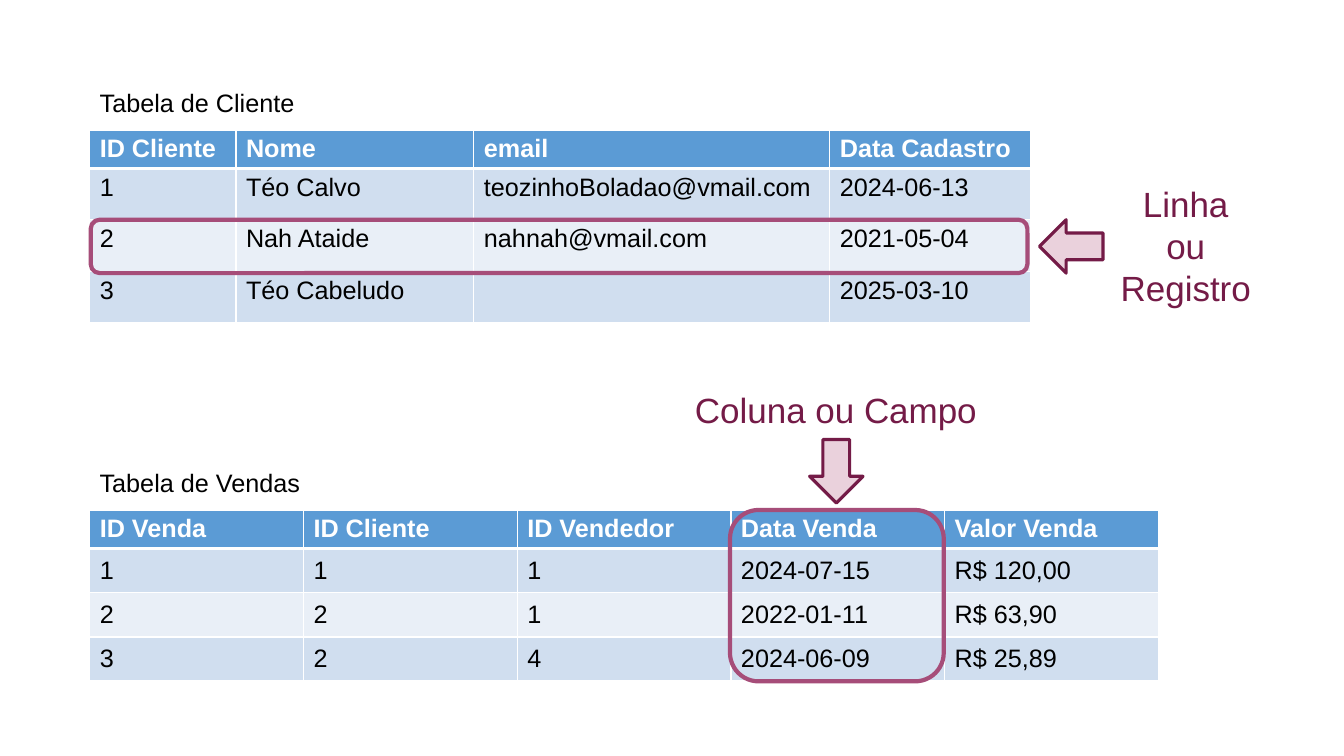
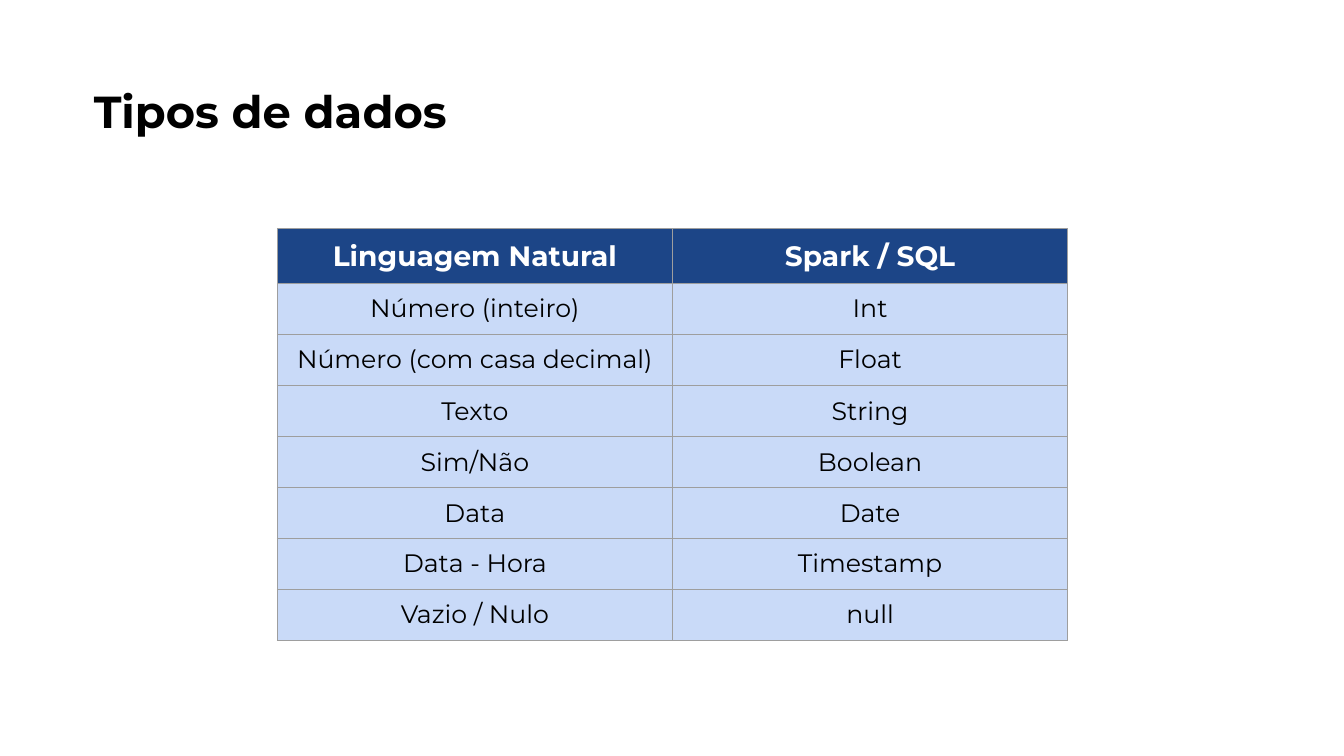
from dataclasses import dataclass

from lxml.etree import SubElement
from pptx import Presentation
from pptx.dml.color import RGBColor as Rgb
from pptx.enum.shapes import MSO_SHAPE as Geo
from pptx.enum.text import MSO_ANCHOR as Anchor, MSO_AUTO_SIZE as Fit, PP_ALIGN as Align
from pptx.oxml.ns import qn
from pptx.util import Inches, Pt

WHITE = Rgb(0xFF, 0xFF, 0xFF)
BLACK = Rgb(0x00, 0x00, 0x00)
BLUE = Rgb(0x5B, 0x9B, 0xD5)
PALE = Rgb(0xD0, 0xDE, 0xEF)
MIST = Rgb(0xE9, 0xEF, 0xF7)
NAVY = Rgb(0x1C, 0x45, 0x87)
SKY = Rgb(0xC9, 0xDA, 0xF8)
GRAY = Rgb(0x9E, 0x9E, 0x9E)
WINE = Rgb(0x74, 0x1B, 0x47)
ROSE = Rgb(0xA6, 0x4D, 0x79)
PINK = Rgb(0xEA, 0xD1, 0xDC)

Box = tuple[float, float, float, float]


@dataclass(frozen=True)
class Style:
    """Look of a table."""
    font: str
    head: Rgb
    bands: tuple[Rgb, ...]
    edge: Rgb
    thin: float
    rule: float  # line under the header
    head_size: int
    pad: float  # top and bottom cell margin
    align: Align


@dataclass(frozen=True)
class Grid:
    """Place and content of a table."""
    left: float
    top: float
    cols: tuple[float, ...]
    rows: tuple[float, ...]
    data: tuple[tuple[str, ...], ...]
    style: Style
    anchor: Anchor = Anchor.TOP


@dataclass(frozen=True)
class Label:
    """Text outside the tables."""
    box: Box
    lines: tuple[str, ...]
    size: int
    color: Rgb
    pad: float = 0.05
    font: str = "Arial"
    bold: bool = False
    align: Align = Align.LEFT
    anchor: Anchor = Anchor.TOP


@dataclass(frozen=True)
class Mark:
    """Outline or arrow that points something out."""
    kind: Geo
    box: Box
    line: Rgb
    width: float
    fill: Rgb | None = None
    turn: int = 0


DATA = Style("Arial", BLUE, (PALE, MIST), WHITE, 1, 3, 18, 0.05, Align.LEFT)
TYPES = Style("Montserrat", NAVY, (SKY,), GRAY, 0.75, 0.75, 20, 0.1, Align.CENTER)

LEFT = 0.89
SALE_TOP = 5.06
SALE_COL = 2.12

GRIDS = (
    Grid(LEFT, 1.29, (1.45, 2.36, 3.53, 1.99), (0.38, 0.51, 0.51, 0.51), (
        ("ID Cliente", "Nome", "email", "Data Cadastro"),
        ("1", "Téo Calvo", "teozinhoBoladao@vmail.com", "2024-06-13"),
        ("2", "Nah Ataide", "nahnah@vmail.com", "2021-05-04"),
        ("3", "Téo Cabeludo", "", "2025-03-10"),
    ), DATA),
    Grid(LEFT, SALE_TOP, (SALE_COL,) * 5, (0.38, 0.44, 0.44, 0.43), (
        ("ID Venda", "ID Cliente", "ID Vendedor", "Data Venda", "Valor Venda"),
        ("1", "1", "1", "2024-07-15", "R$ 120,00"),
        ("2", "2", "1", "2022-01-11", "R$ 63,90"),
        ("3", "2", "4", "2024-06-09", "R$ 25,89"),
    ), DATA, Anchor.MIDDLE),
)

NOTE = dict(size=25, color=WINE, pad=0.1, align=Align.CENTER, anchor=Anchor.MIDDLE)
LABELS = (
    Label((LEFT, 0.82, 2.48, 0.4), ("Tabela de Cliente",), 18, BLACK),
    Label((LEFT, 4.59, 2.57, 0.4), ("Tabela de Vendas",), 18, BLACK),
    Label((10.94, 1.71, 1.64, 1.46), ("Linha", "ou", "Registro"), **NOTE),
    Label((6.75, 3.75, 3.08, 0.63), ("Coluna ou Campo",), **NOTE),
)

MARKS = (
    Mark(Geo.ROUNDED_RECTANGLE, (0.9, 2.18, 9.29, 0.53), ROSE, 3),
    Mark(Geo.ROUNDED_RECTANGLE, (LEFT + 3 * SALE_COL - 0.01, SALE_TOP, SALE_COL, 1.7), ROSE, 3),
    Mark(Geo.LEFT_ARROW, (10.31, 2.18, 0.63, 0.53), WINE, 2.25, PINK),
    Mark(Geo.LEFT_ARROW, (7.98, 4.41, 0.63, 0.53), WINE, 2.25, PINK, 270),
)

TITLE = Label((0.83, 0.78, 6.69, 0.64), ("Tipos de dados",), 32, BLACK,
              font="Montserrat", bold=True)
KINDS = Grid(2.75, 2.27, (3.92,) * 2, (0.54, 0.5, 0.51) + (0.5,) * 5, (
    ("Linguagem Natural", "Spark / SQL"),
    ("Número (inteiro)", "Int"),
    ("Número (com casa decimal)", "Float"),
    ("Texto", "String"),
    ("Sim/Não", "Boolean"),
    ("Data", "Date"),
    ("Data - Hora", "Timestamp"),
    ("Vazio / Nulo", "null"),
), TYPES)


def add_run(para, text: str, font: str, size: int, color: Rgb, bold: bool) -> None:
    run = para.add_run()
    run.text = text
    run.font.name = font
    run.font.size = Pt(size)
    run.font.color.rgb = color
    run.font.bold = bold


def set_edge(cell, side: str, color: Rgb, width: float) -> None:
    props = cell._tc.get_or_add_tcPr()
    line = SubElement(props, qn(f"a:ln{side}"), w=str(int(Pt(width))))
    fill = SubElement(line, qn("a:solidFill"))
    SubElement(fill, qn("a:srgbClr"), val=str(color))


def fill_cell(cell, text: str, row: int, grid: Grid) -> None:
    look = grid.style
    head = row == 0
    # Borders come before the fill in the cell properties
    for side in "LRTB":
        under = (row, side) in ((0, "B"), (1, "T"))
        set_edge(cell, side, look.edge, look.rule if under else look.thin)
    cell.fill.solid()
    cell.fill.fore_color.rgb = look.head if head else look.bands[(row - 1) % len(look.bands)]
    cell.margin_left = cell.margin_right = Inches(0.1)
    cell.margin_top = cell.margin_bottom = Inches(look.pad)
    cell.vertical_anchor = grid.anchor
    para = cell.text_frame.paragraphs[0]
    para.alignment = look.align
    if text:
        add_run(para, text, look.font, look.head_size if head else 18,
                WHITE if head else BLACK, head)


def draw_grid(slide, grid: Grid) -> None:
    size = (grid.left, grid.top, sum(grid.cols), sum(grid.rows))
    table = slide.shapes.add_table(len(grid.rows), len(grid.cols), *map(Inches, size)).table
    table.first_row = table.horz_banding = False
    for col, width in zip(table.columns, grid.cols):
        col.width = Inches(width)
    for row, high in zip(table.rows, grid.rows):
        row.height = Inches(high)
    for r, texts in enumerate(grid.data):
        for c, text in enumerate(texts):
            fill_cell(table.cell(r, c), text, r, grid)


def write_label(shape, label: Label) -> None:
    shape.left, shape.top, shape.width, shape.height = map(Inches, label.box)
    frame = shape.text_frame
    frame.word_wrap = True
    frame.auto_size = Fit.NONE
    frame.vertical_anchor = label.anchor
    frame.margin_left = frame.margin_right = Inches(0.1)
    frame.margin_top = frame.margin_bottom = Inches(label.pad)
    for i, line in enumerate(label.lines):
        para = frame.add_paragraph() if i else frame.paragraphs[0]
        para.alignment = label.align
        add_run(para, line, label.font, label.size, label.color, label.bold)


def draw_mark(slide, mark: Mark) -> None:
    shape = slide.shapes.add_shape(mark.kind, *map(Inches, mark.box))
    shape.shadow.inherit = False
    shape.rotation = mark.turn
    shape.line.color.rgb = mark.line
    shape.line.width = Pt(mark.width)
    if mark.fill is None:
        shape.fill.background()
    else:
        shape.fill.solid()
        shape.fill.fore_color.rgb = mark.fill


def main() -> None:
    deck = Presentation()
    deck.slide_width, deck.slide_height = Inches(13.33), Inches(7.5)

    # Rows and columns of two tables
    slide = deck.slides.add_slide(deck.slide_layouts[6])
    for grid in GRIDS:
        draw_grid(slide, grid)
    for label in LABELS:
        write_label(slide.shapes.add_textbox(*map(Inches, label.box)), label)
    for mark in MARKS:
        draw_mark(slide, mark)

    # Data types
    slide = deck.slides.add_slide(deck.slide_layouts[5])
    write_label(slide.shapes.title, TITLE)
    draw_grid(slide, KINDS)

    deck.save("out.pptx")


if __name__ == "__main__":
    main()
